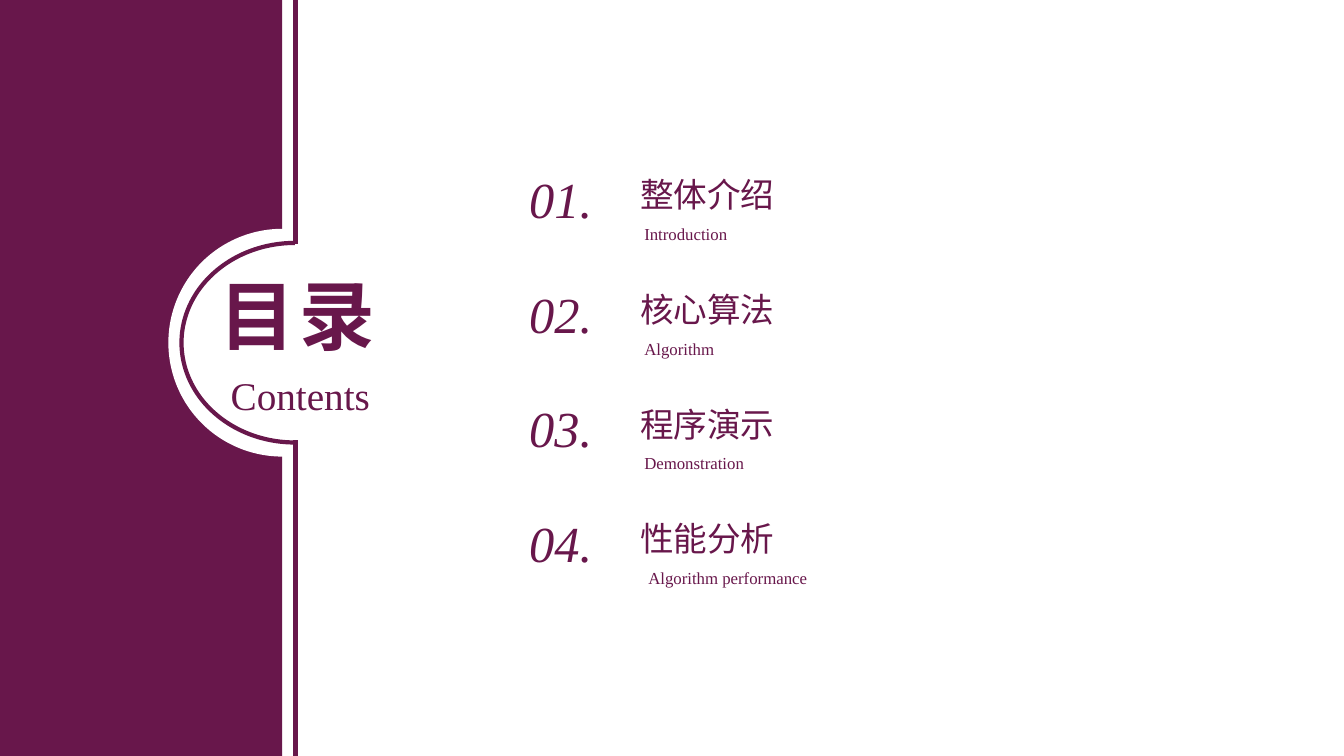
from lxml.etree import SubElement
from pptx import Presentation
from pptx.dml.color import RGBColor
from pptx.enum.shapes import MSO_CONNECTOR, MSO_SHAPE
from pptx.enum.text import MSO_ANCHOR, MSO_AUTO_SIZE, PP_ALIGN
from pptx.oxml.ns import qn
from pptx.util import Inches, Pt

COLORS = {"plum": "68174B", "white": "FFFFFF"}
HEADING_FONT = "Open Sans"
LATIN_FONT = "Times New Roman"
CHAPTERS = [
    ("01.", "整体介绍", "Introduction", 0.04),
    ("02.", "核心算法", "Algorithm", 0.04),
    ("03.", "程序演示", "Demonstration", 0.04),
    ("04.", "性能分析", "Algorithm performance", 0.08),
]


def rgb(name):
    """Return a palette colour."""
    return RGBColor.from_string(COLORS[name])


def write_text(shape, text, size, font_name, wrap=True, indent=0):
    """Fill a shape with one left-aligned plum paragraph and return it."""
    frame = shape.text_frame
    frame.word_wrap = wrap
    frame.auto_size = MSO_AUTO_SIZE.NONE
    frame.vertical_anchor = MSO_ANCHOR.TOP
    frame.margin_left = Inches(0.1 + indent)
    frame.text = text
    paragraph = frame.paragraphs[0]
    paragraph.alignment = PP_ALIGN.LEFT
    paragraph.font.size = Pt(size)
    paragraph.font.name = font_name
    paragraph.font.color.rgb = rgb("plum")
    properties = paragraph.font._element
    SubElement(properties, qn("a:ea")).set("typeface", font_name)
    return paragraph


def add_text(slide, left, top, width, height, text, size, font_name, **options):
    """Add a text box and return its paragraph."""
    box = slide.shapes.add_textbox(Inches(left), Inches(top), Inches(width), Inches(height))
    return write_text(box, text, size, font_name, **options)


def add_solid(slide, kind, left, top, width, height, color):
    """Add a filled preset shape without outline."""
    shape = slide.shapes.add_shape(
        kind, Inches(left), Inches(top), Inches(width), Inches(height))
    shape.shadow.inherit = False
    shape.fill.solid()
    shape.fill.fore_color.rgb = rgb(color)
    shape.line.fill.background()


def style_line(line):
    """Give an outline the plum colour and its weight."""
    line.color.rgb = rgb("plum")
    line.width = Pt(3)


def add_side_panel(slide, width, height):
    """Draw the plum panel with its round notch and outlining rule."""
    add_solid(slide, MSO_SHAPE.RECTANGLE, 0, 0, width, height, "plum")
    add_solid(slide, MSO_SHAPE.OVAL, width - 1.13, 2.27, 2.26, 2.26, "white")

    arc = slide.shapes.add_shape(
        MSO_SHAPE.ARC, Inches(width - 1), Inches(2.41), Inches(2.25), Inches(1.98))
    arc.shadow.inherit = False
    arc.fill.background()
    arc.adjustments[0] = 54
    arc.adjustments[1] = 162
    style_line(arc.line)

    rule_left = Inches(width + 0.13)
    for start, end in ((0, 2.42), (4.37, height)):
        rule = slide.shapes.add_connector(
            MSO_CONNECTOR.STRAIGHT, rule_left, Inches(start), rule_left, Inches(end))
        SubElement(rule._element.spPr, qn("a:effectLst"))
        style_line(rule.line)


def add_heading(slide, left, top):
    """Place the slide title and its translation inside the notch."""
    title = slide.shapes.title
    title.left, title.top = Inches(left), Inches(top)
    title.width, title.height = Inches(1.8), Inches(1.01)
    paragraph = write_text(title, "目录", 54, HEADING_FONT, wrap=False)
    paragraph.font.bold = True
    paragraph.runs[0].font._element.set("spc", "300")
    slide.shapes._spTree.append(title._element)
    add_text(slide, left + 0.11, top + 1.01, 1.6, 0.57, "Contents", 28, LATIN_FONT, wrap=False)


def add_chapter(slide, left, top, number, name, translation, indent):
    """Place one numbered chapter with its name and translation."""
    paragraph = add_text(slide, left, top, 0.97, 0.71, number, 36, LATIN_FONT)
    paragraph.font.italic = True
    add_text(slide, left + 1.1, top + 0.06, 1.87, 0.5, name, 24, HEADING_FONT)
    add_text(slide, left + 1.1, top + 0.55, 5.54, 0.3, translation, 12, LATIN_FONT, indent=indent)


def add_contents_slide(presentation):
    """Build the table of contents slide."""
    slide = presentation.slides.add_slide(presentation.slide_layouts[5])
    add_side_panel(slide, 2.8, 7.5)
    add_heading(slide, 2.08, 2.62)
    for index, chapter in enumerate(CHAPTERS):
        add_chapter(slide, 5.15, 1.62 + index * 1.137, *chapter)


def main():
    """Create and save the presentation."""
    presentation = Presentation()
    presentation.slide_width = Inches(13.33)
    presentation.slide_height = Inches(7.5)
    add_contents_slide(presentation)
    presentation.save("out.pptx")


if __name__ == "__main__":
    main()
